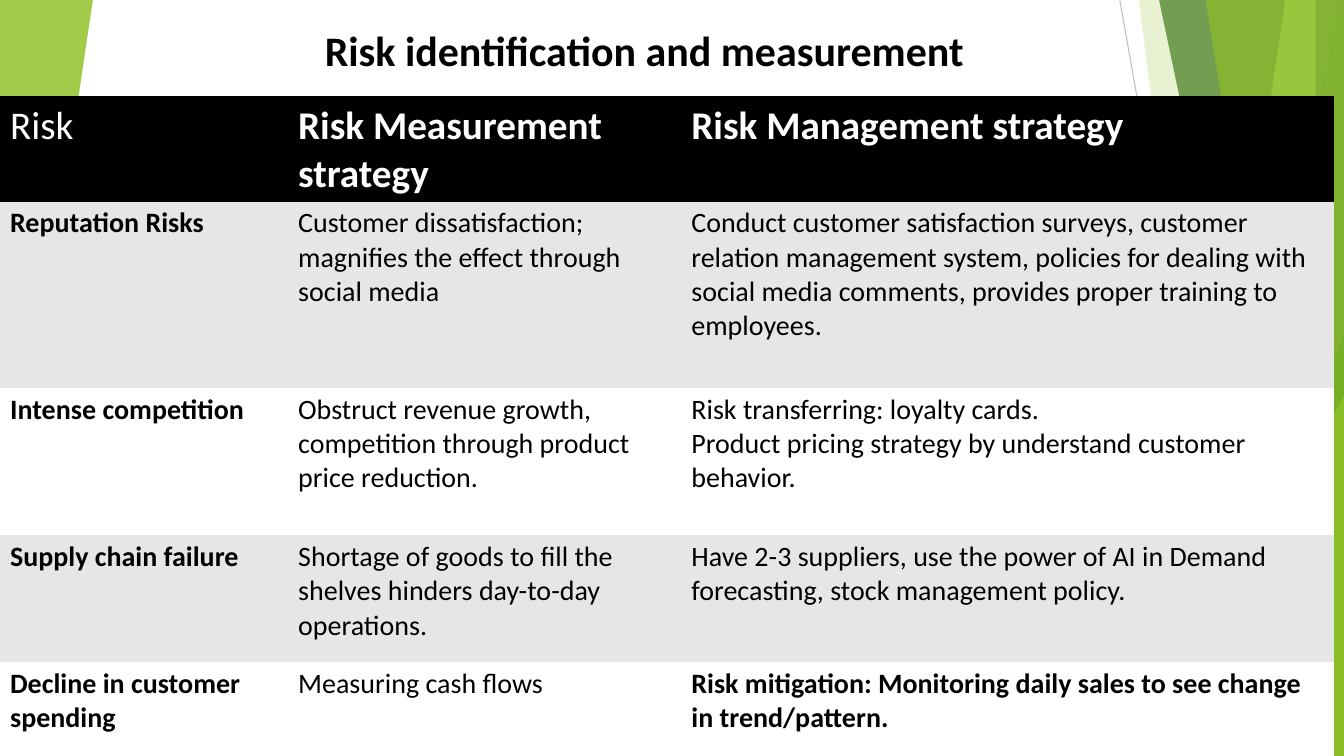
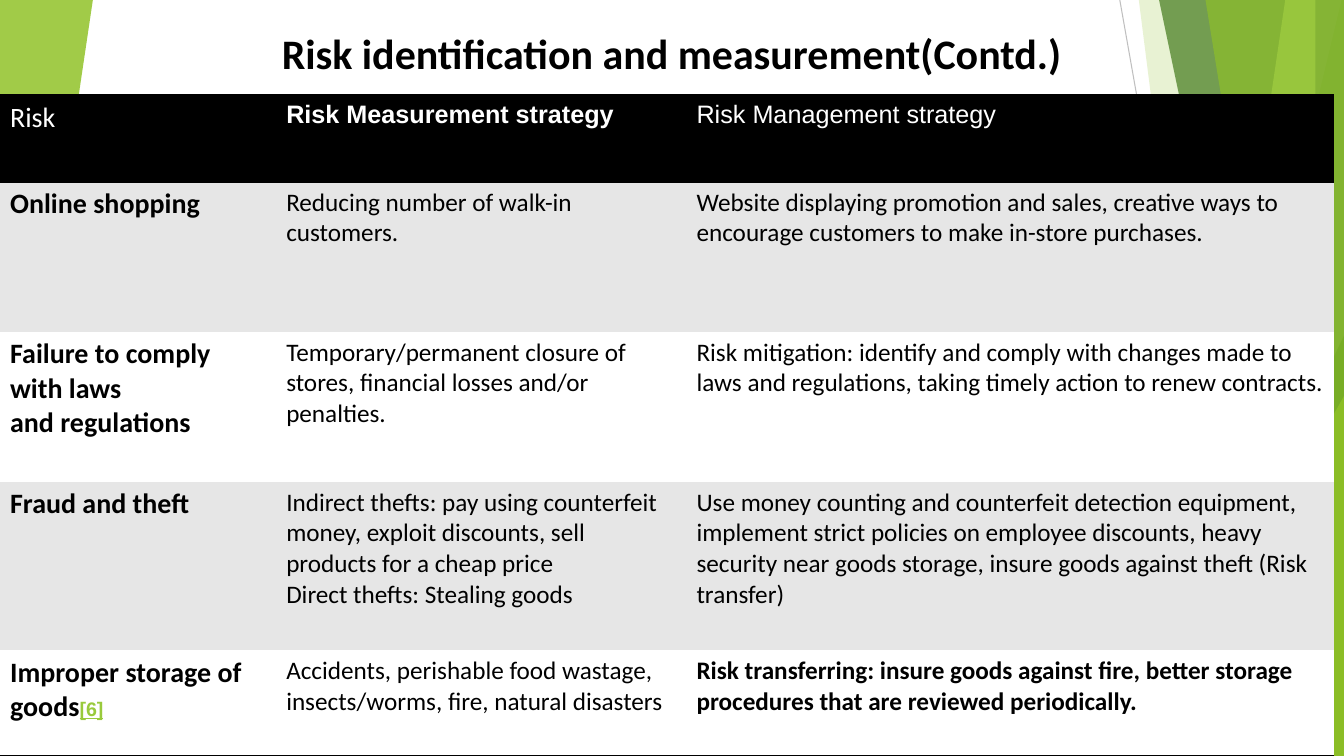
"""Build two slides of retail risks with their measurement and management strategies."""
from dataclasses import dataclass

from lxml import etree
from pptx import Presentation
from pptx.dml.color import RGBColor
from pptx.enum.shapes import MSO_CONNECTOR, MSO_SHAPE
from pptx.enum.text import MSO_ANCHOR, PP_ALIGN
from pptx.oxml.ns import qn
from pptx.util import Cm, Pt

STRAIGHT = MSO_CONNECTOR.STRAIGHT
TRIANGLE = MSO_SHAPE.ISOSCELES_TRIANGLE
BOTTOM = MSO_ANCHOR.BOTTOM
LEFT, CENTER = PP_ALIGN.LEFT, PP_ALIGN.CENTER
NO_TABLE_STYLE = "{2D5ABB26-0587-4C30-8999-92F81FD0307C}"
WIDTH, HEIGHT = 33.87, 19.05


@dataclass(frozen=True)
class Theme:
    black: str = "000000"
    white: str = "FFFFFF"
    band: str = "E6E6E6"
    lime: str = "90C226"
    green: str = "54A021"
    forest: str = "3F7818"
    pale: str = "BFE471"
    citation: str = "99CA3C"
    ray: str = "BFBFBF"
    faint_ray: str = "D8D8D8"
    text_font: str = "Calibri"
    alternate_font: str = "Arial"
    title_size: int = 30
    large_size: int = 28
    label_size: int = 20
    compact_size: int = 18
    citation_size: int = 14
    ray_width: float = 0.75
    border_width: float = 2


class Deck:
    def __init__(self, theme):
        self.theme = theme
        self.presentation = Presentation()
        self.presentation.slide_width = Cm(WIDTH)
        self.presentation.slide_height = Cm(HEIGHT)
        self.slide = None

    def new_slide(self):
        theme = self.theme
        self.slide = self.presentation.slides.add_slide(self.presentation.slide_layouts[6])
        self.ray((28.22, 0), (31.44, 18.16), theme.ray)
        self.ray((WIDTH, 10.24), (20.62, HEIGHT), theme.faint_ray)
        self.beam(33.81, WIDTH, WIDTH, 29.24, theme.lime, 29)
        self.beam(28.7, WIDTH, WIDTH, 31.12, theme.lime, 20)
        self.wedge(28.8, 8.46, 5.07, 10.59, theme.green, 71)
        self.beam(29.21, WIDTH, WIDTH, 33.22, theme.forest, 69)
        self.beam(32.39, 33.15, 33.15, 29.57, theme.pale, 69)
        self.beam(30.38, WIDTH, WIDTH, 33.48, theme.lime, 64)
        self.wedge(28.8, 9.98, 5.07, 9.07, theme.lime, 80)
        self.wedge(0, 0, 2.34, 15.75, theme.lime, 84, rotation=180)

    def ray(self, start, end, color):
        ray = self.slide.shapes.add_connector(STRAIGHT, *map(Cm, start + end))
        ray.line.color.rgb = RGBColor.from_string(color)
        ray.line.width = Pt(self.theme.ray_width)
        etree.SubElement(ray._element.spPr, qn("a:effectLst"))

    def beam(self, top_left, top_right, bottom_right, bottom_left, color, opacity):
        outline = self.slide.shapes.build_freeform(Cm(top_left), 0)
        outline.add_line_segments([
            (Cm(top_right), 0),
            (Cm(bottom_right), Cm(HEIGHT)),
            (Cm(bottom_left), Cm(HEIGHT)),
        ])
        self.tint(outline.convert_to_shape(), color, opacity)

    def wedge(self, left, top, width, height, color, opacity, rotation=0):
        wedge = self.slide.shapes.add_shape(TRIANGLE, *map(Cm, (left, top, width, height)))
        wedge.adjustments[0] = 1
        wedge.rotation = rotation
        self.tint(wedge, color, opacity)

    def tint(self, shape, color, opacity):
        shape.shadow.inherit = False
        shape.line.fill.background()
        shape.fill.solid()
        shape.fill.fore_color.rgb = RGBColor.from_string(color)
        tone = shape._element.spPr.find(".//" + qn("a:srgbClr"))
        etree.SubElement(tone, qn("a:alpha"), val=str(opacity * 1000))

    def add_text(self, paragraph, text, color, size, **extra):
        run = paragraph.add_run()
        run.text = text
        run.font.color.rgb = RGBColor.from_string(color)
        for name, value in {"name": self.theme.text_font, "size": Pt(size), "bold": False, **extra}.items():
            setattr(run.font, name, value)

    def title(self, text, left, top, width, height):
        frame = self.slide.shapes.add_textbox(*map(Cm, (left, top, width, height))).text_frame
        frame.word_wrap = True
        frame.vertical_anchor = BOTTOM
        frame.paragraphs[0].alignment = CENTER
        self.add_text(frame.paragraphs[0], text, self.theme.black, self.theme.title_size, bold=True)

    def border(self, cell, side):
        line = etree.SubElement(cell._tc.get_or_add_tcPr(), qn("a:" + side),
                                w=str(Pt(self.theme.border_width)))
        fill = etree.SubElement(line, qn("a:solidFill"))
        etree.SubElement(fill, qn("a:srgbClr"), val=self.theme.black)

    def cell(self, cell, text, fill, color, sides=(), **font):
        for side in sides:
            self.border(cell, side)
        cell.fill.solid()
        cell.fill.fore_color.rgb = RGBColor.from_string(fill)
        for index, line in enumerate(text.split("\n")):
            frame = cell.text_frame
            paragraph = frame.add_paragraph() if index else frame.paragraphs[0]
            paragraph.alignment = LEFT
            self.add_text(paragraph, line, color, **font)

    def risk_table(self, top, widths, heights, header_fonts, body_size, risks):
        theme = self.theme
        frame = self.slide.shapes.add_table(len(heights), len(widths), 0, Cm(top),
                                            Cm(sum(widths)), Cm(sum(heights)))
        table = frame.table
        table._tbl.tblPr.find(qn("a:tableStyleId")).text = NO_TABLE_STYLE
        for column, width in zip(table.columns, widths):
            column.width = Cm(width)
        for row, height in zip(table.rows, heights):
            row.height = Cm(height)
        headings = ("Risk", "Risk Measurement strategy", "Risk Management strategy")
        for column, (heading, font) in enumerate(zip(headings, header_fonts)):
            self.cell(table.cell(0, column), heading, theme.black, theme.white, ("lnT", "lnB"), **font)
        for row, risk in enumerate(risks, 1):
            last = row == len(risks)
            for column, text in enumerate(risk):
                self.cell(table.cell(row, column), text,
                          theme.band if row % 2 else theme.white, theme.black,
                          ("lnB",) if last else (),
                          size=body_size if column else theme.label_size,
                          bold=column == 0 or (last and column == 2))
        return table

    def cite(self, cell, text):
        theme = self.theme
        self.add_text(cell.text_frame.paragraphs[-1], text, theme.citation, theme.citation_size,
                      name=theme.alternate_font, bold=True, underline=True)


def main():
    theme = Theme()
    deck = Deck(theme)

    deck.new_slide()
    deck.title("Risk identification and measurement", 7.57, 0.36, 17.35, 1.65)
    large = {"size": theme.large_size}
    large_bold = {**large, "bold": True}
    deck.risk_table(
        2.44, (7.26, 9.91, 16.46), (2.06, 4.7, 3.71, 3.2, 3.2),
        (large, large_bold, large_bold), theme.label_size,
        (
            ("Reputation Risks",
             "Customer dissatisfaction; magnifies the effect through social media",
             "Conduct customer satisfaction surveys, customer relation management system, policies for "
             "dealing with social media comments, provides proper training to employees."),
            ("Intense competition",
             "Obstruct revenue growth, competition through product price reduction.",
             "Risk transferring: loyalty cards.\n"
             "Product pricing strategy by understand customer behavior."),
            ("Supply chain failure",
             "Shortage of goods to fill the shelves hinders day-to-day operations.",
             "Have 2-3 suppliers, use the power of AI in Demand forecasting, stock management policy."),
            ("Decline in customer spending",
             "Measuring cash flows",
             "Risk mitigation: Monitoring daily sales to see change in trend/pattern."),
        ),
    )

    deck.new_slide()
    deck.title("Risk identification and measurement(Contd.)", 0, 0, WIDTH, 2.08)
    compact = {"size": theme.compact_size, "name": theme.alternate_font}
    further_risks = deck.risk_table(
        2.41, (6.96, 10.34, 16.33), (2.18, 3.78, 3.78, 4.24, 2.67),
        ({"size": theme.label_size}, {**compact, "bold": True}, compact), theme.compact_size,
        (
            ("Online shopping",
             "Reducing number of walk-in customers.",
             "Website displaying promotion and sales, creative ways to encourage customers to make "
             "in-store purchases."),
            ("Failure to comply with laws\nand regulations",
             "Temporary/permanent closure of stores, financial losses and/or penalties.",
             "Risk mitigation: identify and comply with changes made to laws and regulations, taking "
             "timely action to renew contracts."),
            ("Fraud and theft",
             "Indirect thefts: pay using counterfeit money, exploit discounts, sell products for a "
             "cheap price\nDirect thefts: Stealing goods",
             "Use money counting and counterfeit detection equipment, implement strict policies on "
             "employee discounts, heavy security near goods storage, insure goods against theft "
             "(Risk transfer)"),
            ("Improper storage of goods",
             "Accidents, perishable food wastage, insects/worms, fire, natural disasters",
             "Risk transferring: insure goods against fire, better storage procedures that are "
             "reviewed periodically."),
        ),
    )
    deck.cite(further_risks.cell(4, 0), "[6]")

    deck.presentation.save("out.pptx")


if __name__ == "__main__":
    main()
